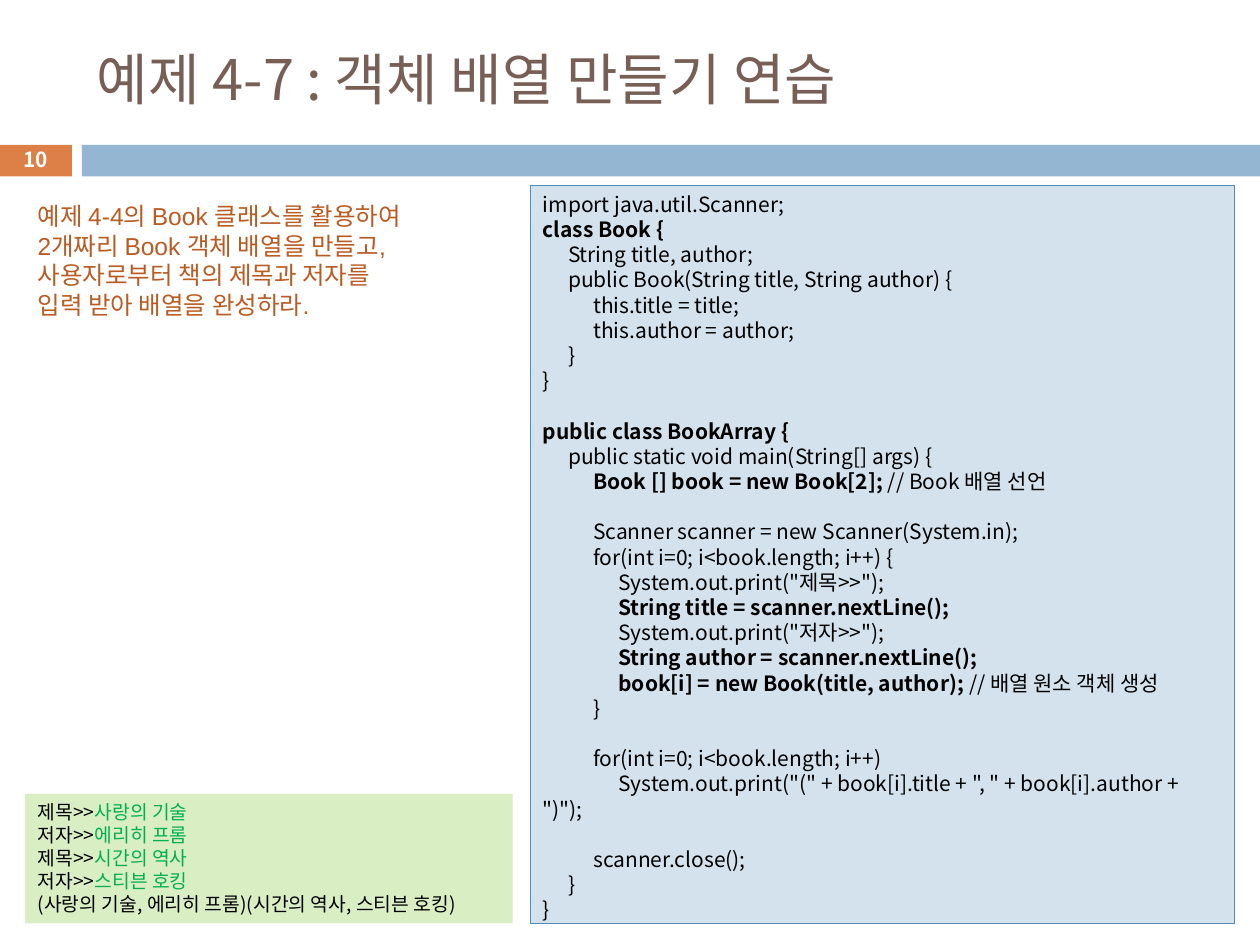
from typing import NamedTuple, Optional

from lxml.etree import SubElement
from pptx import Presentation
from pptx.dml.color import RGBColor
from pptx.enum.shapes import MSO_SHAPE
from pptx.enum.text import MSO_ANCHOR, PP_ALIGN
from pptx.oxml.ns import qn
from pptx.util import Inches, Pt

ORANGE = RGBColor(0xDD, 0x80, 0x47)
BLUE = RGBColor(0x94, 0xB6, 0xD2)
BROWN = RGBColor(0x77, 0x5F, 0x55)
RUST = RGBColor(0xB9, 0x5B, 0x22)
PALE_GREEN = RGBColor(0xDA, 0xEE, 0xC4)
GREEN = RGBColor(0x00, 0xB0, 0x50)
PALE_BLUE = RGBColor(0xD4, 0xE2, 0xED)
EDGE_BLUE = RGBColor(0x55, 0x8B, 0xB8)
BLACK = RGBColor(0, 0, 0)
WHITE = RGBColor(0xFF, 0xFF, 0xFF)

KOREAN_FONT = "Noto Sans CJK KR"
LINE_HEIGHT = 1.2
TAB_STEP = 0.2


class Box(NamedTuple):
    left: float
    top: float
    width: float
    height: float


class Span(NamedTuple):
    text: str
    bold: bool = False
    color: Optional[RGBColor] = None


class Line(NamedTuple):
    spans: list[Span]
    depth: int = 0
    gap_before: bool = False


class Style(NamedTuple):
    size: float
    color: RGBColor
    font: str = KOREAN_FONT
    align: PP_ALIGN = PP_ALIGN.LEFT
    anchor: MSO_ANCHOR = MSO_ANCHOR.TOP


def code(text: str, depth: int = 0, bold: bool = False, gap: bool = False,
         comment: str = "") -> Line:
    spans = [Span(text, bold)]
    if comment:
        spans.append(Span(comment))
    return Line(spans, depth, gap)


def add_bar(slide, box: Box, fill: RGBColor, edge: Optional[RGBColor] = None):
    bar = slide.shapes.add_shape(MSO_SHAPE.RECTANGLE, *map(Inches, box))
    bar.shadow.inherit = False
    bar.fill.solid()
    bar.fill.fore_color.rgb = fill
    if edge is None:
        bar.line.fill.background()
    else:
        bar.line.color.rgb = edge
        bar.line.width = Pt(0.75)
    return bar


def add_tab_stops(paragraph, depth: int) -> None:
    stops = SubElement(paragraph._p.get_or_add_pPr(), qn("a:tabLst"))
    for level in range(1, depth + 1):
        SubElement(stops, qn("a:tab"), pos=str(Inches(TAB_STEP * level)), algn="l")


def write(shape, lines: list[Line], style: Style) -> None:
    frame = shape.text_frame
    frame.word_wrap = True
    frame.vertical_anchor = style.anchor
    for index, line in enumerate(lines):
        paragraph = frame.paragraphs[0] if index == 0 else frame.add_paragraph()
        paragraph.alignment = style.align
        paragraph.line_spacing = Pt(style.size * LINE_HEIGHT)
        if line.gap_before:
            paragraph.space_before = Pt(style.size * LINE_HEIGHT)
        if line.depth:
            add_tab_stops(paragraph, line.depth)
        for position, span in enumerate(line.spans):
            run = paragraph.add_run()
            run.text = ("\t" * line.depth if position == 0 else "") + span.text
            run.font.size = Pt(style.size)
            run.font.name = style.font
            run.font.bold = span.bold
            run.font.color.rgb = span.color or style.color
            SubElement(run.font._element, qn("a:ea"), typeface=KOREAN_FONT)


def add_text(slide, box: Box, lines: list[Line], style: Style) -> None:
    write(slide.shapes.add_textbox(*map(Inches, box)), lines, style)


TASK = [
    "예제 4-4의 Book 클래스를 활용하여",
    "2개짜리 Book 객체 배열을 만들고,",
    "사용자로부터 책의 제목과 저자를",
    "입력 받아 배열을 완성하라.",
]

CONSOLE_INPUT = [
    ("제목>>", "사랑의 기술"),
    ("저자>>", "에리히 프롬"),
    ("제목>>", "시간의 역사"),
    ("저자>>", "스티븐 호킹"),
]
CONSOLE_RESULT = "(사랑의 기술, 에리히 프롬)(시간의 역사, 스티븐 호킹)"

SOURCE_CODE = [
    code("import java.util.Scanner;"),
    code("class Book {", bold=True),
    code("String title, author;", 1),
    code("public Book(String title, String author) {", 1),
    code("this.title = title;", 2),
    code("this.author = author;", 2),
    code("}", 1),
    code("}"),
    code("public class BookArray {", bold=True, gap=True),
    code("public static void main(String[] args) {", 1),
    code("Book [] book = new Book[2]; ", 2, bold=True, comment="// Book 배열 선언"),
    code("Scanner scanner = new Scanner(System.in);", 2, gap=True),
    code("for(int i=0; i<book.length; i++) {", 2),
    code('System.out.print("제목>>");', 3),
    code("String title = scanner.nextLine();", 3, bold=True),
    code('System.out.print("저자>>");', 3),
    code("String author = scanner.nextLine();", 3, bold=True),
    code("book[i] = new Book(title, author); ", 3, bold=True,
         comment="// 배열 원소 객체 생성"),
    code("}", 2),
    code("for(int i=0; i<book.length; i++)", 2, gap=True),
    code('System.out.print("(" + book[i].title + ", " + book[i].author + ")");', 3),
    code("scanner.close();", 2, gap=True),
    code("}", 1),
    code("}"),
]


def main() -> None:
    deck = Presentation()
    deck.slide_width, deck.slide_height = Inches(10), Inches(7.5)
    slide = deck.slides.add_slide(deck.slide_layouts[6])

    # Header bars, title and page number
    add_bar(slide, Box(-0.01, 1.15, 0.58, 0.25), ORANGE)
    add_bar(slide, Box(0.65, 1.15, 9.35, 0.25), BLUE)
    add_text(slide, Box(0.67, 0.25, 8.92, 0.74),
             [Line([Span("예제 4-7 : 객체 배열 만들기 연습")])],
             Style(32, BROWN, anchor=MSO_ANCHOR.MIDDLE))
    add_text(slide, Box(-0.01, 1.13, 0.58, 0.27), [Line([Span("10", bold=True)])],
             Style(11.9, WHITE, align=PP_ALIGN.CENTER, anchor=MSO_ANCHOR.MIDDLE))

    # Task description
    add_text(slide, Box(0.2, 1.55, 3.86, 1.04),
             [Line([Span(text)]) for text in TASK], Style(14, RUST, "Arial"))

    # Console output
    console = add_bar(slide, Box(0.2, 6.3, 3.87, 1.03), PALE_GREEN)
    console.text_frame.margin_right = Inches(0.05)
    session = [Line([Span(prompt), Span(answer, color=GREEN)])
               for prompt, answer in CONSOLE_INPUT]
    write(console, session + [Line([Span(CONSOLE_RESULT)])], Style(11, BLACK))

    # Source code
    listing = add_bar(slide, Box(4.21, 1.47, 5.59, 5.86), PALE_BLUE, EDGE_BLUE)
    write(listing, SOURCE_CODE, Style(12, BLACK))

    deck.save("out.pptx")


if __name__ == "__main__":
    main()
